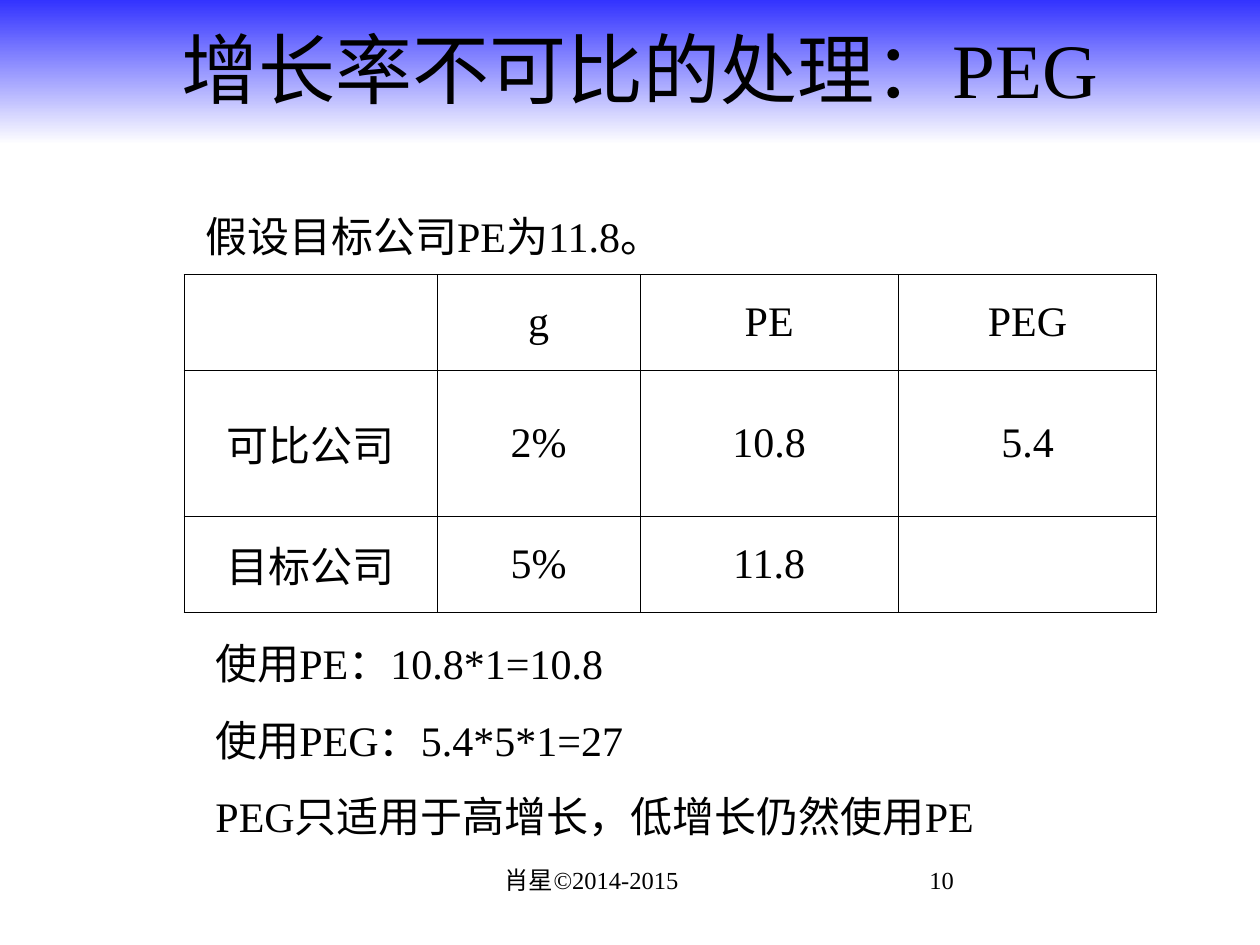
from dataclasses import dataclass
from typing import Any

from lxml.etree import SubElement
from pptx import Presentation
from pptx.dml.color import RGBColor
from pptx.enum.shapes import MSO_SHAPE
from pptx.enum.text import MSO_ANCHOR, MSO_AUTO_SIZE, PP_ALIGN
from pptx.oxml.ns import qn
from pptx.util import Inches, Pt

BLACK = RGBColor(0x00, 0x00, 0x00)
BLUE = RGBColor(0x33, 0x33, 0xFF)
WHITE = RGBColor(0xFF, 0xFF, 0xFF)

WIDTH, HEIGHT = Inches(10), Inches(7.5)
TITLE_AND_CONTENT = 1


def assign(target, values):
    for name, value in values.items():
        setattr(target, name, value)


@dataclass
class SlideBuilder:
    """Text style and current slide; boxes are (x, y, w, h) in % of the slide."""
    slide: Any
    font_name: str = "Times New Roman"
    body_size: int = 24
    border_points: float = 0.45

    def scale(self, box):
        x, y, w, h = box
        sizes = (x * WIDTH, y * HEIGHT, w * WIDTH, h * HEIGHT)
        return [round(size / 100) for size in sizes]

    def set_lines(self, frame, lines, size=None, align=PP_ALIGN.LEFT, before=0,
                  anchor=MSO_ANCHOR.TOP, autosize=MSO_AUTO_SIZE.NONE):
        assign(frame, {"word_wrap": True, "auto_size": autosize,
                       "vertical_anchor": anchor})
        self.set_paragraphs(frame, lines, size, align, before)

    def set_paragraphs(self, frame, lines, size=None, align=PP_ALIGN.LEFT,
                       before=0):
        frame.text = "\n".join(lines)
        for paragraph in frame.paragraphs:
            assign(paragraph, {"alignment": align, "space_before": Pt(before)})
            for run in paragraph.runs:
                assign(run.font, {"name": self.font_name,
                                  "size": Pt(size or self.body_size)})
                run.font.color.rgb = BLACK

    def fill_placeholder(self, placeholder, box, lines, **style):
        left, top, width, height = self.scale(box)
        assign(placeholder, {"left": left, "top": top,
                             "width": width, "height": height})
        self.set_lines(placeholder.text_frame, lines, **style)

    def title(self, text, box):
        self.fill_placeholder(self.slide.shapes.title, box, [text], size=44,
                              align=PP_ALIGN.CENTER, anchor=MSO_ANCHOR.MIDDLE)

    def body(self, lines, box, **style):
        body = self.slide.placeholders[1]
        self.fill_placeholder(body, box, lines, **style)
        for paragraph in body.text_frame.paragraphs:
            properties = paragraph._p.get_or_add_pPr()
            properties.set("marL", "0")
            properties.set("indent", "0")
            SubElement(properties, qn("a:buNone"))

    def text(self, line, box, **style):
        textbox = self.slide.shapes.add_textbox(*self.scale(box))
        self.set_lines(textbox.text_frame, [line], **style)

    def gradient_band(self, box, colors):
        shapes = self.slide.shapes
        band = shapes.add_shape(MSO_SHAPE.RECTANGLE, *self.scale(box))
        band.shadow.inherit = False
        band.line.fill.background()
        band.fill.gradient()
        band.fill.gradient_angle = 270  # top to bottom
        for stop, color in zip(band.fill.gradient_stops, colors):
            stop.color.rgb = color
        shapes._spTree.insert(2, band._element)  # behind the title

    def border(self, cell):
        properties = cell._tc.get_or_add_tcPr()
        for side in ("lnL", "lnR", "lnT", "lnB"):
            line = SubElement(properties, qn(f"a:{side}"))
            line.set("w", str(int(Pt(self.border_points))))
            solid = SubElement(line, qn("a:solidFill"))
            SubElement(solid, qn("a:srgbClr")).set("val", str(BLACK))

    def table(self, rows, box, column_shares, row_shares):
        left, top, width, height = self.scale(box)
        table = self.slide.shapes.add_table(
            len(rows), len(rows[0]), left, top, width, height).table
        assign(table, {"first_row": False, "horz_banding": False})
        for column, share in zip(table.columns, column_shares):
            column.width = round(width * share / sum(column_shares))
        for row, share in zip(table.rows, row_shares):
            row.height = round(height * share / sum(row_shares))
        for row, values in zip(table.rows, rows):
            for cell, value in zip(row.cells, values):
                self.border(cell)
                cell.fill.background()
                self.set_paragraphs(cell.text_frame, [value],
                                    align=PP_ALIGN.CENTER)
                cell.vertical_anchor = MSO_ANCHOR.MIDDLE
        # The target company's multiple has extra space above
        table.cell(2, 2).text_frame.paragraphs[0].space_before = Pt(6)


def main():
    deck = Presentation()
    assign(deck, {"slide_width": WIDTH, "slide_height": HEIGHT})
    layout = deck.slide_layouts[TITLE_AND_CONTENT]
    builder = SlideBuilder(deck.slides.add_slide(layout))
    spaced = {"before": 15, "autosize": MSO_AUTO_SIZE.SHAPE_TO_FIT_TEXT}

    # Heading
    builder.gradient_band((0, 0, 100, 15.33), (BLUE, WHITE))
    builder.title("增长率不可比的处理：PEG", (8.3, 0, 85, 14.27))

    # Assumption and comparison
    builder.text("假设目标公司PE为11.8。", (15.3, 21.6, 48, 6.67), **spaced)
    comparison = [
        ("", "g", "PE", "PEG"),
        ("可比公司", "2%", "10.8", "5.4"),
        ("目标公司", "5%", "11.8", ""),
    ]
    builder.table(comparison, (14.6, 29.07, 77.2, 35.73),
                  column_shares=(2.01, 1.61, 2.05, 2.05),
                  row_shares=(0.76, 1.16, 0.76))

    # Conclusions
    builder.body(["使用PE：10.8*1=10.8",
                  "使用PEG：5.4*5*1=27",
                  "PEG只适用于高增长，低增长仍然使用PE"],
                 (16.1, 66.8, 72.4, 22.93), **spaced)

    # Footer
    builder.text("肖星©2014-2015", (31.1, 90.93, 31.7, 6.67),
                 size=14, align=PP_ALIGN.CENTER)
    builder.text("10", (66.5, 90.93, 10.2, 6.67),
                 size=14, align=PP_ALIGN.RIGHT)

    deck.save("out.pptx")


if __name__ == "__main__":
    main()
